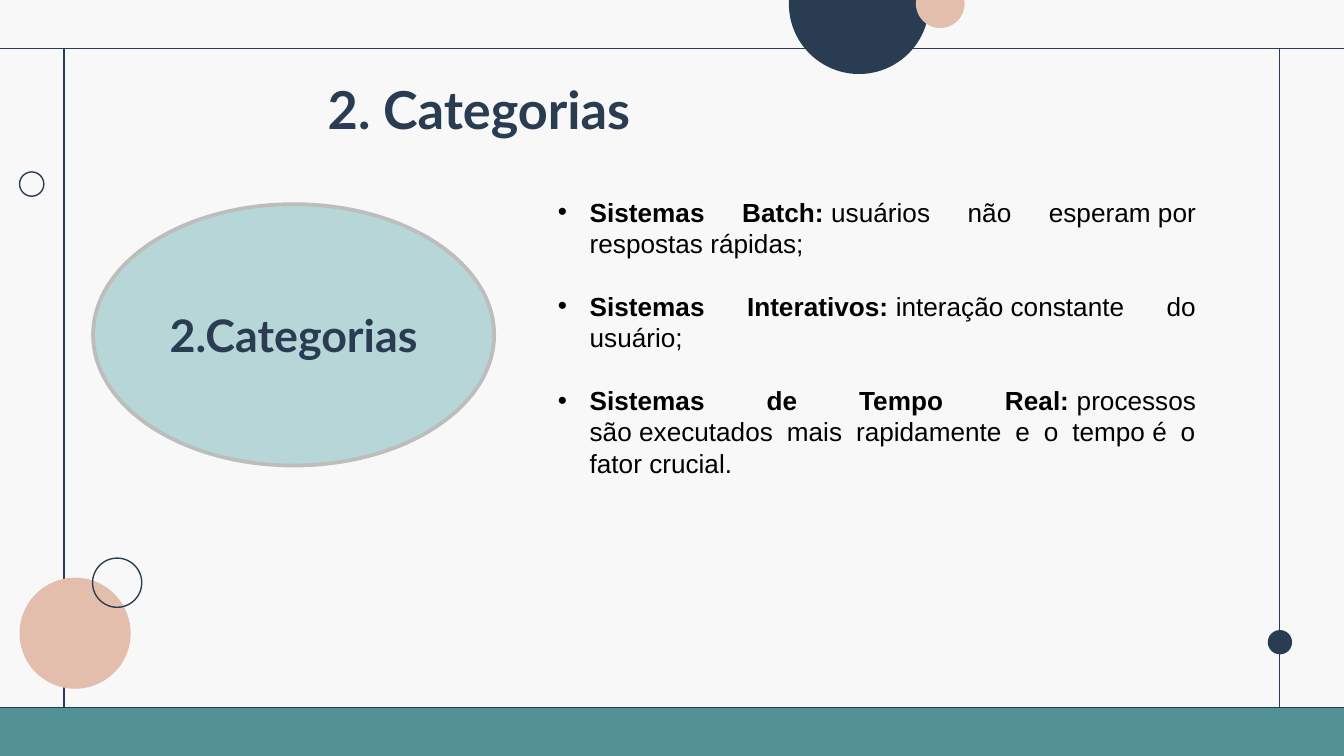
"""Build the slide that presents the categories of operating systems."""
from dataclasses import dataclass
from typing import Optional

import lxml.etree
import pptx
import pptx.dml.color
import pptx.enum.shapes
import pptx.enum.text
import pptx.oxml.ns
import pptx.util

Cm = pptx.util.Cm
Pt = pptx.util.Pt
SHAPES = pptx.enum.shapes.MSO_SHAPE
ALIGN = pptx.enum.text.PP_ALIGN
ANCHOR = pptx.enum.text.MSO_ANCHOR
AUTO_SIZE = pptx.enum.text.MSO_AUTO_SIZE

NAVY = "293C51"
PEACH = "E4BEAC"
TEAL = "539294"
AQUA = "B7D6D7"
GRAY = "BDBDBD"
BLACK = "000000"
PAPER = "F8F8F8"

TOP, BOTTOM = 0.92, 13.37
LEFT, RIGHT = 1.21, 24.18
LINE_PITCH = 16.8
HARD_SPACE = chr(160)


@dataclass
class Box:
    left: float
    top: float
    width: float
    height: float


@dataclass
class Circle:
    left: float
    top: float
    diameter: float
    fill: Optional[str] = None


@dataclass
class Rule:
    start: tuple[float, float]
    end: tuple[float, float]


@dataclass
class Category:
    name: str
    description: str


RULES = [
    Rule((-0.03, TOP), (25.43, TOP)),
    Rule((LEFT, TOP), (LEFT, BOTTOM)),
    Rule((RIGHT, TOP), (RIGHT, BOTTOM)),
    Rule((-0.03, BOTTOM), (25.43, BOTTOM)),
]
CIRCLES = [
    Circle(0.37, 3.25, 0.46),
    Circle(23.96, 11.91, 0.46, NAVY),
    Circle(14.91, -1.25, 2.65, NAVY),
    Circle(17.31, -0.39, 0.92, PEACH),
    Circle(0.37, 10.92, 2.1, PEACH),
    Circle(1.75, 10.55, 0.93),
]
CATEGORIES = [
    Category(
        "Sistemas Batch:",
        f"{HARD_SPACE}usuários não esperam{HARD_SPACE}por respostas rápidas;",
    ),
    Category(
        f"Sistemas Interativos:{HARD_SPACE}",
        f"interação{HARD_SPACE}constante do usuário;{HARD_SPACE}",
    ),
    Category(
        f"Sistemas de Tempo Real:{HARD_SPACE}",
        f"processos são{HARD_SPACE}executados mais rapidamente "
        f"e o tempo{HARD_SPACE}é o fator crucial.",
    ),
]


def color(value: str) -> pptx.dml.color.RGBColor:
    """Turn a hex string into a colour."""
    return pptx.dml.color.RGBColor.from_string(value)


def place(shape, box: Box) -> None:
    """Move and size a shape."""
    shape.left, shape.top = Cm(box.left), Cm(box.top)
    shape.width, shape.height = Cm(box.width), Cm(box.height)


def draw_shape(slide, kind, box: Box, fill: Optional[str] = None,
               line: Optional[str] = None, line_width: float = 0.75):
    """Draw a preset shape with an optional fill and outline."""
    shape = slide.shapes.add_shape(
        kind, Cm(box.left), Cm(box.top), Cm(box.width), Cm(box.height))
    shape.shadow.inherit = False
    if fill:
        shape.fill.solid()
        shape.fill.fore_color.rgb = color(fill)
    else:
        shape.fill.background()
    if line:
        shape.line.color.rgb = color(line)
        shape.line.width = Pt(line_width)
    else:
        shape.line.fill.background()
    return shape


def draw_circle(slide, circle: Circle) -> None:
    """Draw a filled circle, or an outlined one when it has no fill."""
    box = Box(circle.left, circle.top, circle.diameter, circle.diameter)
    draw_shape(slide, SHAPES.OVAL, box, circle.fill, None if circle.fill else NAVY)


def draw_rule(slide, rule: Rule) -> None:
    """Draw a thin line without a shadow."""
    connector = slide.shapes.add_connector(
        pptx.enum.shapes.MSO_CONNECTOR.STRAIGHT,
        *(Cm(value) for value in rule.start + rule.end))
    connector.line.color.rgb = color(NAVY)
    connector.line.width = Pt(0.75)
    properties = connector._element.spPr
    lxml.etree.SubElement(properties, pptx.oxml.ns.qn("a:effectLst"))


def write_heading(paragraph, text: str, size: float, alignment) -> None:
    """Write a bold navy heading."""
    paragraph.text = text
    paragraph.alignment = alignment
    paragraph.font.name = "Lato"
    paragraph.font.size = Pt(size)
    paragraph.font.bold = True
    paragraph.font.color.rgb = color(NAVY)


def add_bullet(paragraph) -> None:
    """Give a paragraph a black bullet with a hanging indent."""
    qn = pptx.oxml.ns.qn
    properties = paragraph._p.get_or_add_pPr()
    properties.set("marL", str(Cm(0.6)))
    properties.set("indent", str(-Cm(0.6)))
    bullet_color = lxml.etree.SubElement(properties, qn("a:buClr"))
    lxml.etree.SubElement(bullet_color, qn("a:srgbClr"), val=BLACK)
    lxml.etree.SubElement(properties, qn("a:buFont"), typeface="Arial")
    lxml.etree.SubElement(properties, qn("a:buChar"), char="•")


def write_category(paragraph, category: Category, space_before: float) -> None:
    """Write a bulleted category with its name in bold."""
    add_bullet(paragraph)
    paragraph.alignment = ALIGN.JUSTIFY
    paragraph.line_spacing = Pt(LINE_PITCH)
    paragraph.space_before = Pt(space_before)
    paragraph.font.name = "Arial"
    paragraph.font.size = Pt(14)
    paragraph.font.color.rgb = color(BLACK)
    for text, bold in ((category.name, True), (category.description, False)):
        run = paragraph.add_run()
        run.text = text
        run.font.bold = bold


def fill_title(title) -> None:
    """Place and write the slide title."""
    place(title, Box(5.94, 1.26, 7.57, 1.6))
    frame = title.text_frame
    frame.auto_size = AUTO_SIZE.NONE
    frame.vertical_anchor = ANCHOR.MIDDLE
    write_heading(frame.paragraphs[0], "2. Categorias", 28, ALIGN.LEFT)


def fill_body(body) -> None:
    """Place the list and write every category."""
    place(body, Box(10.29, 3.58, 12.57, 5.64))
    frame = body.text_frame
    frame.auto_size = AUTO_SIZE.NONE
    for index, category in enumerate(CATEGORIES):
        paragraph = frame.add_paragraph() if index else frame.paragraphs[0]
        write_category(paragraph, category, LINE_PITCH if index else 0)


def main() -> None:
    """Build and save the presentation."""
    presentation = pptx.Presentation()
    presentation.slide_width, presentation.slide_height = Cm(25.4), Cm(14.29)
    slide = presentation.slides.add_slide(presentation.slide_layouts[1])
    slide.background.fill.solid()
    slide.background.fill.fore_color.rgb = color(PAPER)
    draw_shape(slide, SHAPES.RECTANGLE, Box(0, BOTTOM, 25.45, 0.92), TEAL)
    for rule in RULES:
        draw_rule(slide, rule)
    for circle in CIRCLES:
        draw_circle(slide, circle)
    fill_title(slide.shapes.title)
    fill_body(slide.placeholders[1])
    topic = draw_shape(
        slide, SHAPES.OVAL, Box(1.76, 3.86, 7.58, 4.94), AQUA, GRAY, 2)
    topic.text_frame.vertical_anchor = ANCHOR.MIDDLE
    write_heading(topic.text_frame.paragraphs[0], "2.Categorias", 24, ALIGN.CENTER)
    presentation.save("out.pptx")


if __name__ == "__main__":
    main()
